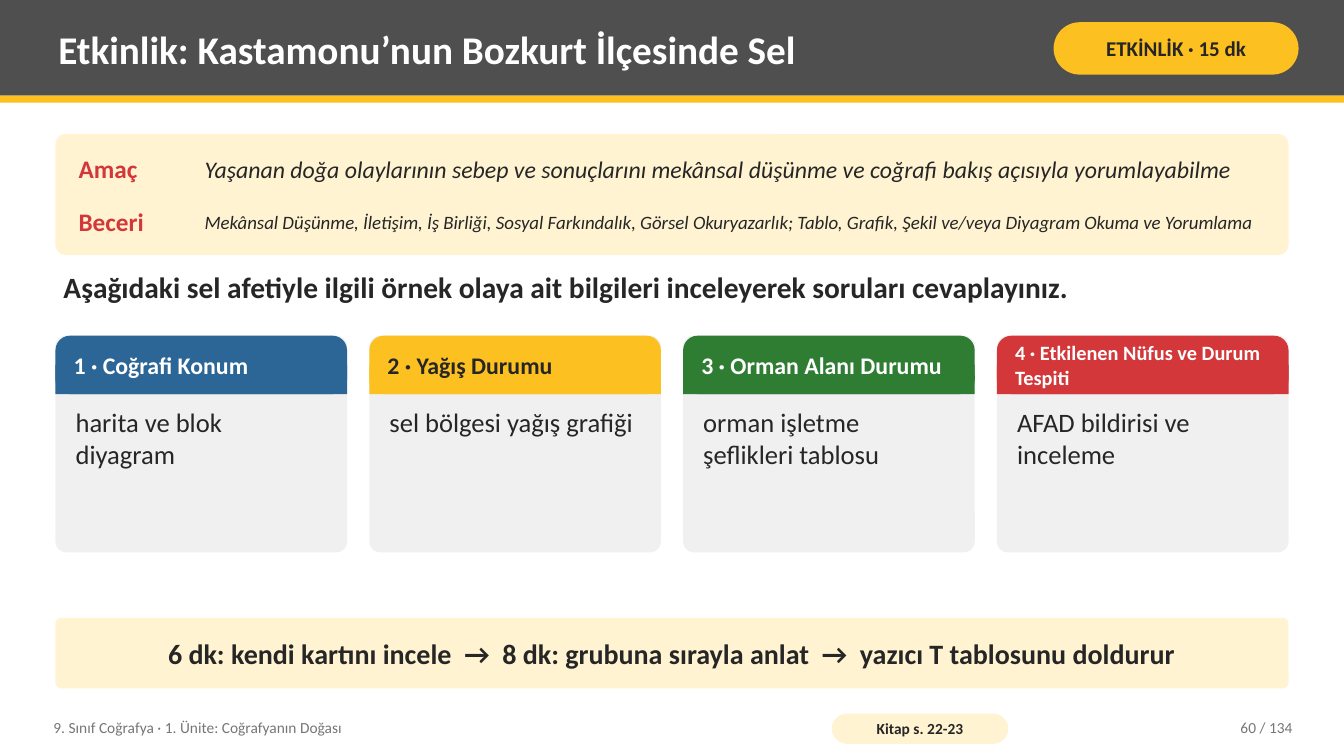
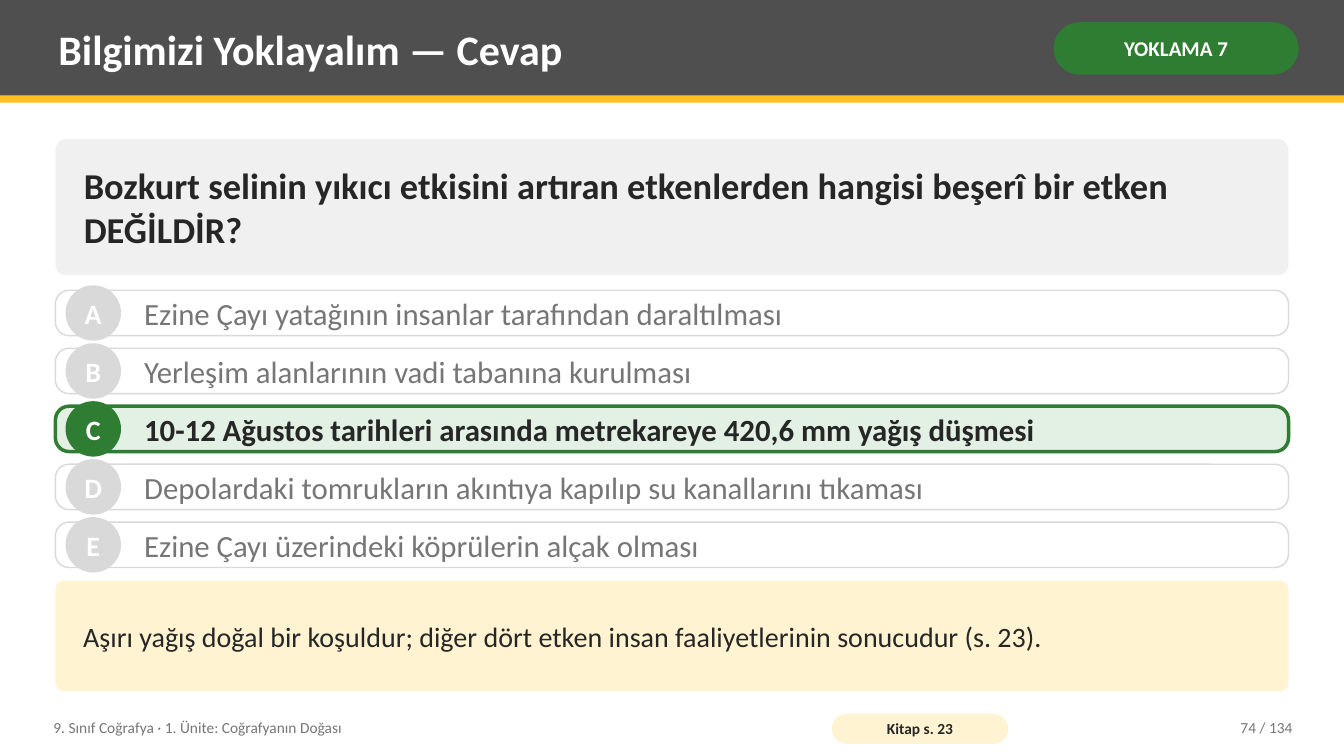
from pptx import Presentation
from pptx.dml.color import RGBColor
from pptx.enum.shapes import MSO_SHAPE
from pptx.enum.text import MSO_ANCHOR, PP_ALIGN
from pptx.util import Inches, Pt

RECT, ROUNDED, OVAL = MSO_SHAPE.RECTANGLE, MSO_SHAPE.ROUNDED_RECTANGLE, MSO_SHAPE.OVAL
TOP, MIDDLE = MSO_ANCHOR.TOP, MSO_ANCHOR.MIDDLE
LEFT, CENTER, RIGHT = PP_ALIGN.LEFT, PP_ALIGN.CENTER, PP_ALIGN.RIGHT

COLORS = {
    "white": "FFFFFF", "ink": "262626", "muted": "767676", "header": "4F4F4F",
    "panel": "F0F0F0", "outline": "D9D9D9", "cream": "FFF3D1", "yellow": "FCC021",
    "red": "D3373A", "blue": "2C6696", "green": "2E7D32", "mint": "E3F1E4",
}

# Page grid, in inches
PAGE_W, PAGE_H = 13.33, 7.5
MARGIN = 0.55
CONTENT_W = PAGE_W - 2 * MARGIN
INSET = (0.08, 0.04)


def add_panel(slide, box, fill, kind=RECT, corner=None, line=None):
    panel = slide.shapes.add_shape(kind, *map(Inches, box))
    panel.shadow.inherit = False
    panel.fill.solid()
    panel.fill.fore_color.rgb = RGBColor.from_string(COLORS[fill])
    if corner is not None:
        panel.adjustments[0] = corner
    if line:
        panel.line.color.rgb = RGBColor.from_string(COLORS[line[0]])
        panel.line.width = Pt(line[1])
    else:
        panel.line.fill.background()
    return panel


def write(holder, text, size, color="ink", align=LEFT, anchor=MIDDLE,
          inset=INSET, wrap=True, **style):
    frame = holder.text_frame
    frame_format = {
        "word_wrap": wrap, "vertical_anchor": anchor,
        "margin_left": Inches(inset[0]), "margin_right": Inches(inset[0]),
        "margin_top": Inches(inset[1]), "margin_bottom": Inches(inset[1]),
    }
    for attribute, value in frame_format.items():
        setattr(frame, attribute, value)
    paragraph = frame.paragraphs[0]
    paragraph.alignment = align
    run = paragraph.add_run()
    run.text = text
    for attribute, value in {"name": "Calibri", "size": Pt(size), **style}.items():
        setattr(run.font, attribute, value)
    run.font.color.rgb = RGBColor.from_string(COLORS[color])


deck = Presentation()
deck.slide_width, deck.slide_height = Inches(PAGE_W), Inches(PAGE_H)
blank = deck.slide_layouts[6]

# Header and footer shared by every slide
pages = [
    # title, title size, badge, badge fill, badge text colour, book page, page number
    ("Etkinlik: Kastamonu’nun Bozkurt İlçesinde Sel", 28,
     "ETKİNLİK · 15 dk", "yellow", "ink", "Kitap s. 22-23", "60 / 134"),
    ("Bilgimizi Yoklayalım — Cevap", 30,
     "YOKLAMA 7", "green", "white", "Kitap s. 23", "74 / 134"),
]
for title, title_size, badge, badge_fill, badge_color, book_page, number in pages:
    slide = deck.slides.add_slide(blank)
    add_panel(slide, (0, 0, PAGE_W, 0.95), "header")
    add_panel(slide, (0, 0.95, PAGE_W, 0.07), "yellow")
    heading = slide.shapes.add_textbox(*map(Inches, (0.5, 0.07, 9.75, 0.82)))
    write(heading, title, title_size, "white", bold=True)
    badge_pill = add_panel(slide, (10.45, 0.22, 2.43, 0.52), badge_fill, ROUNDED, 0.5)
    write(badge_pill, badge, 15, badge_color, CENTER, inset=(0.05, 0.02), bold=True)

    course = slide.shapes.add_textbox(*map(Inches, (0.45, 7.04, 7.6, 0.36)))
    write(course, "9. Sınıf Coğrafya · 1. Ünite: Coğrafyanın Doğası", 11, "muted")
    book_pill = add_panel(slide, (8.25, 7.08, 1.75, 0.3), "cream", ROUNDED, 0.5)
    write(book_pill, book_page, 11, align=CENTER, inset=(0.04, 0), bold=True)
    page_number = slide.shapes.add_textbox(*map(Inches, (11.3, 7.04, 1.6, 0.36)))
    write(page_number, number, 11, "muted", RIGHT)

activity, answer = deck.slides

# Activity: aim and skills
add_panel(activity, (MARGIN, 1.33, CONTENT_W, 1.2), "cream", ROUNDED, 0.08)
goals = [
    ("Amaç", "Yaşanan doğa olaylarının sebep ve sonuçlarını mekânsal düşünme "
     "ve coğrafi bakış açısıyla yorumlayabilme", 17, 1.39, 0.57),
    ("Beceri", "Mekânsal Düşünme, İletişim, İş Birliği, Sosyal Farkındalık, "
     "Görsel Okuryazarlık; Tablo, Grafik, Şekil ve/veya Diyagram Okuma ve Yorumlama",
     13.5, 1.93, 0.54),
]
for goal, detail, detail_size, top, height in goals:
    goal_label = activity.shapes.add_textbox(*map(Inches, (0.7, top, 1.25, height)))
    write(goal_label, goal, 18, "red", bold=True)
    goal_detail = activity.shapes.add_textbox(*map(Inches, (1.95, top, 10.63, height)))
    write(goal_detail, detail, detail_size, italic=True)

# Activity: instruction
instruction = activity.shapes.add_textbox(*map(Inches, (MARGIN, 2.63, CONTENT_W, 0.55)))
write(instruction, "Aşağıdaki sel afetiyle ilgili örnek olaya ait bilgileri "
      "inceleyerek soruları cevaplayınız.", 21, anchor=TOP, bold=True)

# Activity: four topic cards
topics = [
    ("1 · Coğrafi Konum", 17, "blue", "white", "harita ve blok diyagram"),
    ("2 · Yağış Durumu", 17, "yellow", "ink", "sel bölgesi yağış grafiği"),
    ("3 · Orman Alanı Durumu", 17, "green", "white", "orman işletme şeflikleri tablosu"),
    ("4 · Etkilenen Nüfus ve Durum Tespiti", 14.5, "red", "white",
     "AFAD bildirisi ve inceleme"),
]
CARD_TOP, CARD_H, TAB_H, CARD_GAP = 3.33, 2.15, 0.58, 0.22
card_w = (CONTENT_W - CARD_GAP * (len(topics) - 1)) / len(topics)
for column, (topic, topic_size, tab_fill, topic_color, material) in enumerate(topics):
    left = MARGIN + column * (card_w + CARD_GAP)
    add_panel(activity, (left, CARD_TOP, card_w, CARD_H), "panel", ROUNDED, 0.05)
    add_panel(activity, (left, CARD_TOP, card_w, TAB_H), tab_fill, ROUNDED, 0.25)
    add_panel(activity, (left, CARD_TOP + TAB_H / 2, card_w, TAB_H / 2), tab_fill)
    topic_label = activity.shapes.add_textbox(
        *map(Inches, (left + 0.1, CARD_TOP, card_w - 0.2, TAB_H)))
    write(topic_label, topic, topic_size, topic_color, bold=True)
    material_text = activity.shapes.add_textbox(
        *map(Inches, (left + 0.12, CARD_TOP + TAB_H + 0.08, card_w - 0.24, 1.41)))
    write(material_text, material, 19, anchor=TOP)

# Activity: timing
timing = add_panel(activity, (MARGIN, 6.13, CONTENT_W, 0.7), "cream", ROUNDED, 0.08)
write(timing, "6 dk: kendi kartını incele  →  8 dk: grubuna sırayla anlat  →  "
      "yazıcı T tablosunu doldurur", 20, align=CENTER, inset=(0.14, 0.08), bold=True)

# Answer: question
question = add_panel(answer, (MARGIN, 1.38, CONTENT_W, 1.35), "panel", ROUNDED, 0.08)
write(question, "Bozkurt selinin yıkıcı etkisini artıran etkenlerden hangisi beşerî "
      "bir etken DEĞİLDİR?", 26, inset=(0.25, 0.08), bold=True)

# Answer: options, with the correct one highlighted
options = {
    "A": "Ezine Çayı yatağının insanlar tarafından daraltılması",
    "B": "Yerleşim alanlarının vadi tabanına kurulması",
    "C": "10-12 Ağustos tarihleri arasında metrekareye 420,6 mm yağış düşmesi",
    "D": "Depolardaki tomrukların akıntıya kapılıp su kanallarını tıkaması",
    "E": "Ezine Çayı üzerindeki köprülerin alçak olması",
}
CORRECT = "C"
OPTION_TOP, OPTION_H, OPTION_PITCH, DISC = 2.88, 0.45, 0.575, 0.55
for row, (letter, option) in enumerate(options.items()):
    top = OPTION_TOP + row * OPTION_PITCH
    if letter == CORRECT:
        fill, accent, line_width, color, bold = "mint", "green", 2.5, "ink", True
    else:
        fill, accent, line_width, color, bold = "white", "outline", 1, "muted", False
    add_panel(answer, (MARGIN, top, CONTENT_W, OPTION_H), fill, ROUNDED, 0.3,
              (accent, line_width))
    letter_disc = add_panel(
        answer, (MARGIN + 0.1, top + (OPTION_H - DISC) / 2, DISC, DISC), accent, OVAL)
    write(letter_disc, letter, 20, "white", CENTER, inset=(0, 0), wrap=False, bold=True)
    option_text = answer.shapes.add_textbox(*map(Inches, (1.35, top, 11.23, OPTION_H)))
    write(option_text, option, 22, color, bold=bold)

# Answer: explanation
explanation = add_panel(answer, (MARGIN, 5.76, CONTENT_W, 1.1), "cream", ROUNDED, 0.08)
write(explanation, "Aşırı yağış doğal bir koşuldur; diğer dört etken insan "
      "faaliyetlerinin sonucudur (s. 23).", 20, inset=(0.25, 0.08))

deck.save("out.pptx")
